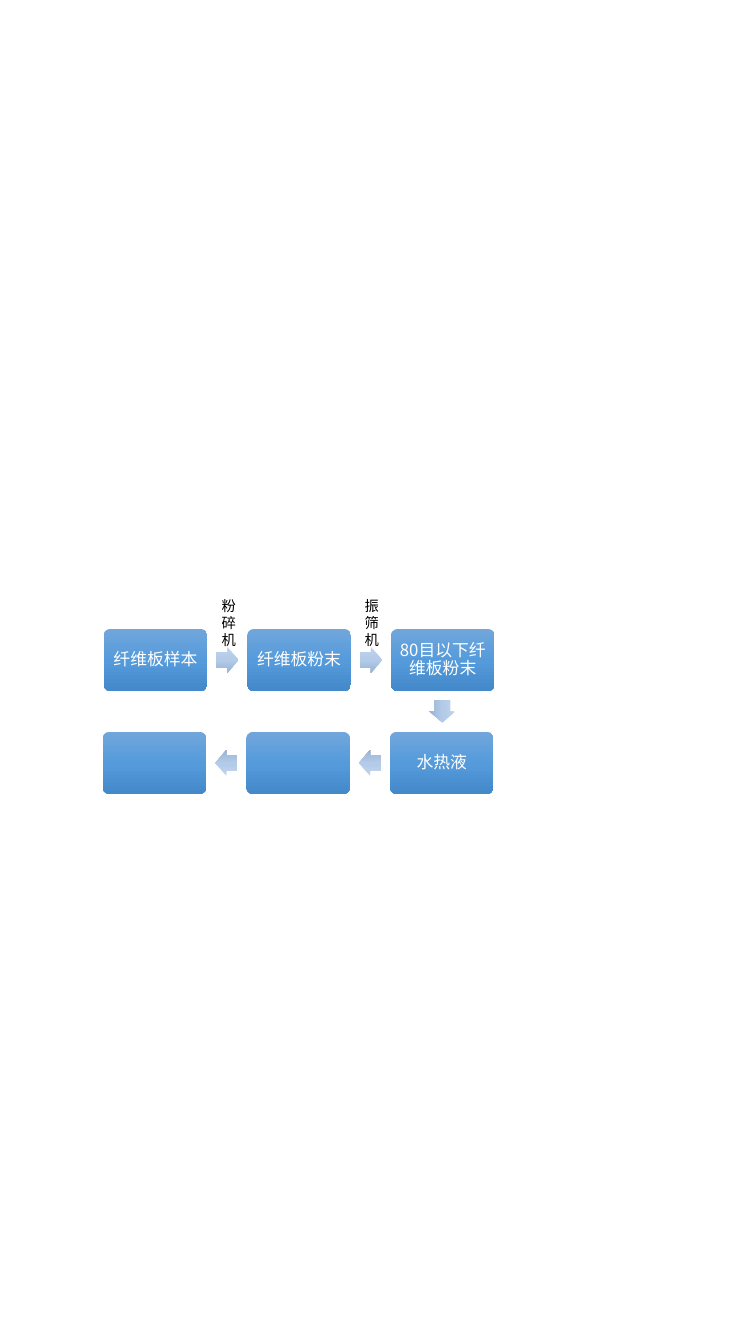
from copy import deepcopy
from math import atan2, degrees

from pptx import Presentation
from pptx.dml.color import RGBColor
from pptx.enum.shapes import MSO_SHAPE as Shape
from pptx.enum.text import MSO_ANCHOR as Anchor, PP_ALIGN as Align
from pptx.oxml.ns import qn
from pptx.util import Pt

# Content: step text, font, column and row, in the order of the flow
CJK, LATIN = "Noto Sans CJK SC", "Arial"
STEPS = [
    ("纤维板样本", CJK, 0, 0),
    ("纤维板粉末", CJK, 1, 0),
    ("80目以下纤维板粉末", CJK, 2, 0),
    ("水热液", LATIN, 2, 1),
    ("", LATIN, 1, 1),
    ("", LATIN, 0, 1),
]
MACHINES = [("粉碎机", 151.2, 18.7), ("振筛机", 253.4, 20.2)]  # text, left, width

# Colours
WHITE = RGBColor(0xFF, 0xFF, 0xFF)
BLACK = RGBColor(0, 0, 0)
STEP_SHADES = [RGBColor(0x71, 0xA6, 0xDB), RGBColor(0x55, 0x9B, 0xDB), RGBColor(0x44, 0x8A, 0xCA)]
ARROW_SHADES = [RGBColor(0xC0, 0xD3, 0xEB), RGBColor(0xB3, 0xCB, 0xE9), RGBColor(0x9B, 0xB4, 0xD3)]

# Layout in points
PAGE_WIDTH, PAGE_HEIGHT = 540, 960
LEFT, TOP = 74.2, 449.3
STEP_WIDTH, STEP_HEIGHT = 73.8, 44.2
COLUMN_PITCH, ROW_PITCH = 102.6, 73.5
ROW_SHIFT = -0.7
ARROW_LENGTH, ARROW_HEIGHT = 15.7, 18.4
LABEL_TOP, LABEL_HEIGHT = 422.7, 43.9


def add_block(page, kind, center, size, shades):
    """Add a shape around its centre, filled from top to bottom with three shades."""
    (x, y), (width, height) = center, size
    block = page.shapes.add_shape(
        kind, Pt(x - width / 2), Pt(y - height / 2), Pt(width), Pt(height))
    block.shadow.inherit = False
    block.line.fill.background()
    block.fill.gradient()
    block.fill.gradient_angle = 270
    stops = block._element.spPr.find(".//" + qn("a:gsLst"))
    stops.insert(1, deepcopy(stops[0]))
    for stop, position, shade in zip(block.fill.gradient_stops, (0, 0.5, 1), shades):
        stop.position = position
        stop.color.rgb = shade
    return block


def write(frame, text, font_name, size, color):
    frame.word_wrap = True
    para = frame.paragraphs[0]
    para.text = text
    font = para.font
    font.size = Pt(size)
    font.color.rgb = color
    font.name = font_name
    # East Asian typeface
    font._element.get_or_add_latin().addnext(
        font._element.makeelement(qn("a:ea"), {"typeface": font_name}))
    return para


def main():
    deck = Presentation()
    deck.slide_width, deck.slide_height = Pt(PAGE_WIDTH), Pt(PAGE_HEIGHT)
    page = deck.slides.add_slide(deck.slide_layouts[6])

    # Steps
    centers = [
        (LEFT + STEP_WIDTH / 2 + column * COLUMN_PITCH + row * ROW_SHIFT,
         TOP + STEP_HEIGHT / 2 + row * ROW_PITCH)
        for _, _, column, row in STEPS
    ]
    for (text, font_name, _, _), center in zip(STEPS, centers):
        box = add_block(page, Shape.ROUNDED_RECTANGLE, center,
                        (STEP_WIDTH, STEP_HEIGHT), STEP_SHADES)
        box.adjustments[0] = 0.1
        if text:
            frame = box.text_frame
            frame.vertical_anchor = Anchor.MIDDLE
            frame.margin_left = frame.margin_right = Pt(3.6)
            frame.margin_top = frame.margin_bottom = Pt(3.6)
            para = write(frame, text, font_name, 12, WHITE)
            para.alignment = Align.CENTER
            para.line_spacing = 0.9

    # Arrows halfway between steps, turned towards the next one
    for (x1, y1), (x2, y2) in zip(centers, centers[1:]):
        arrow = add_block(page, Shape.RIGHT_ARROW, ((x1 + x2) / 2, (y1 + y2) / 2),
                          (ARROW_LENGTH, ARROW_HEIGHT), ARROW_SHADES)
        arrow.adjustments[0] = 0.6
        arrow.adjustments[1] = 0.5
        arrow.rotation = degrees(atan2(y2 - y1, x2 - x1))

    # Machine names above the arrows
    for text, left, width in MACHINES:
        label = page.shapes.add_textbox(Pt(left), Pt(LABEL_TOP), Pt(width), Pt(LABEL_HEIGHT))
        write(label.text_frame, text, LATIN, 10.2, BLACK)

    deck.save("out.pptx")


if __name__ == "__main__":
    main()
